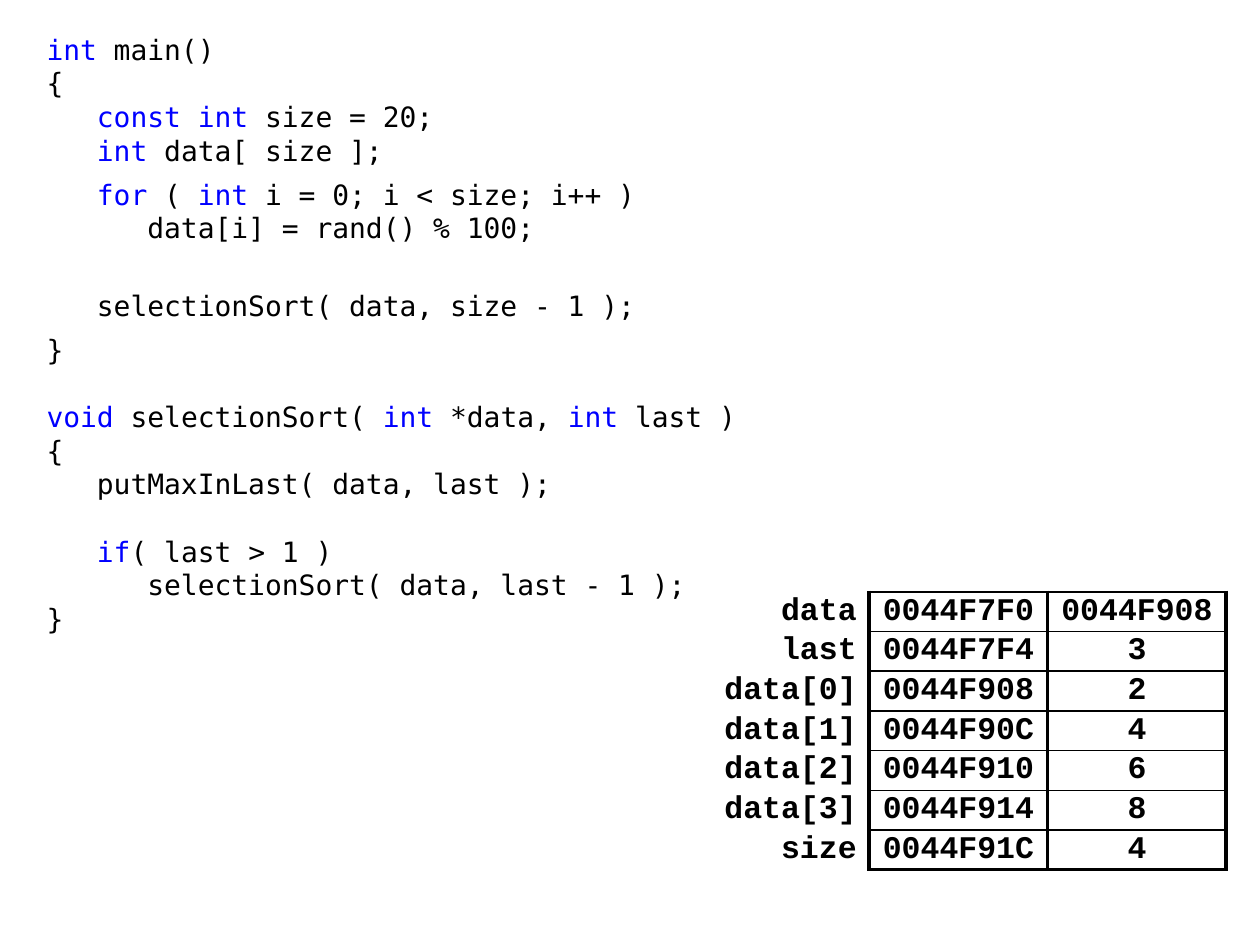
from lxml.etree import SubElement
from pptx import Presentation
from pptx.dml.color import RGBColor
from pptx.enum.text import MSO_ANCHOR, PP_ALIGN
from pptx.oxml.ns import qn
from pptx.util import Pt

COLORS = {"text": "000000", "keyword": "0000FF", "border": "000000"}

BLANK_LINE = 19.2
CODE_LINES = [
    ("|int| main()", 0, 0),
    ("{", 0, 0),
    ("   |const int |size = 20;", 0, 0),
    ("   |int| data[ size ];", 0, 6),
    ("   |for| ( |int| i = 0; i < size; i++ )", 0, 0),
    ("      data[i] = rand() % 100;", 0, 6),
    ("   selectionSort( data, size - 1 );", BLANK_LINE, 6),
    ("}", 0, 0),
    ("|void |selectionSort( |int |*data, |int| last )", BLANK_LINE, 0),
    ("{", 0, 0),
    ("   putMaxInLast( data, last );", 0, 0),
    ("   |if|( last > 1 )", BLANK_LINE, 0),
    ("      selectionSort( data, last - 1 );", 0, 0),
    ("}", 0, 0),
]

MEMORY_ROWS = [
    ("data", "0044F7F0", "0044F908"),
    ("last", "0044F7F4", "3"),
    ("data[0]", "0044F908", "2"),
    ("data[1]", "0044F90C", "4"),
    ("data[2]", "0044F910", "6"),
    ("data[3]", "0044F914", "8"),
    ("size", "0044F91C", "4"),
]
ROW_RULES = [1.5, 1, 1.5, 1, 1, 1, 1, 2.25]
SIDE_RULE = 2.25


class SlideBuilder:
    code_font = "DejaVu Sans Mono"
    code_size = 16
    table_font = "Courier New"
    table_size = 18

    def __init__(self, slide):
        self.slide = slide

    def color(self, name):
        return RGBColor.from_string(COLORS[name])

    def code(self, left, top, width, height, lines):
        shape = self.slide.shapes.add_textbox(Pt(left), Pt(top), Pt(width), Pt(height))
        frame = shape.text_frame
        frame.word_wrap = True
        frame.margin_left, frame.margin_right = Pt(7.2), Pt(5.76)
        frame.margin_top = frame.margin_bottom = Pt(3.6)
        for index, (line, before, after) in enumerate(lines):
            paragraph = frame.add_paragraph() if index else frame.paragraphs[0]
            paragraph.space_before, paragraph.space_after = Pt(before), Pt(after)
            paragraph.font.name = self.code_font
            paragraph.font.size = Pt(self.code_size)
            for position, part in enumerate(line.split("|")):
                if part:
                    run = paragraph.add_run()
                    run.text = part
                    run.font.color.rgb = self.color("keyword" if position % 2 else "text")

    def borders(self, cell, left, right, top, bottom):
        properties = cell._tc.get_or_add_tcPr()
        for side, width in zip("LRTB", (left, right, top, bottom)):
            line = SubElement(properties, qn(f"a:ln{side}"), w=str(int(Pt(width))))
            if width:
                fill = SubElement(line, qn("a:solidFill"))
                SubElement(fill, qn("a:srgbClr"), val=COLORS["border"])
            else:
                SubElement(line, qn("a:noFill"))

    def cell(self, cell, text, alignment):
        cell.fill.background()
        cell.vertical_anchor = MSO_ANCHOR.MIDDLE
        cell.margin_left = cell.margin_right = Pt(7.2)
        cell.margin_top = cell.margin_bottom = Pt(0)
        cell.text = text
        paragraph = cell.text_frame.paragraphs[0]
        paragraph.alignment = alignment
        paragraph.font.name = self.table_font
        paragraph.font.size = Pt(self.table_size)
        paragraph.font.bold = True
        paragraph.font.color.rgb = self.color("text")

    def memory_table(self, left, top, widths, row_height, rows):
        shape = self.slide.shapes.add_table(
            len(rows), len(widths), Pt(left), Pt(top),
            Pt(sum(widths)), Pt(row_height * len(rows)))
        table = shape.table
        table.first_row = table.horz_banding = False
        for column, width in zip(table.columns, widths):
            column.width = Pt(width)
        for row_index, values in enumerate(rows):
            table.rows[row_index].height = Pt(row_height)
            for column_index, text in enumerate(values):
                cell = table.cell(row_index, column_index)
                if column_index:
                    above, below = ROW_RULES[row_index:row_index + 2]
                    self.borders(cell, SIDE_RULE, SIDE_RULE, above, below)
                    self.cell(cell, text, PP_ALIGN.CENTER)
                else:
                    self.borders(cell, 0, SIDE_RULE, 0, 0)
                    self.cell(cell, text, PP_ALIGN.RIGHT)


def main():
    presentation = Presentation()
    presentation.slide_width, presentation.slide_height = Pt(720), Pt(540)
    slide = presentation.slides.add_slide(presentation.slide_layouts[6])
    builder = SlideBuilder(slide)
    builder.code(19.5, 15, 411, 354, CODE_LINES)
    builder.memory_table(406, 338.2, (90.7, 102, 102), 22.7, MEMORY_ROWS)
    presentation.save("out.pptx")


if __name__ == "__main__":
    main()
